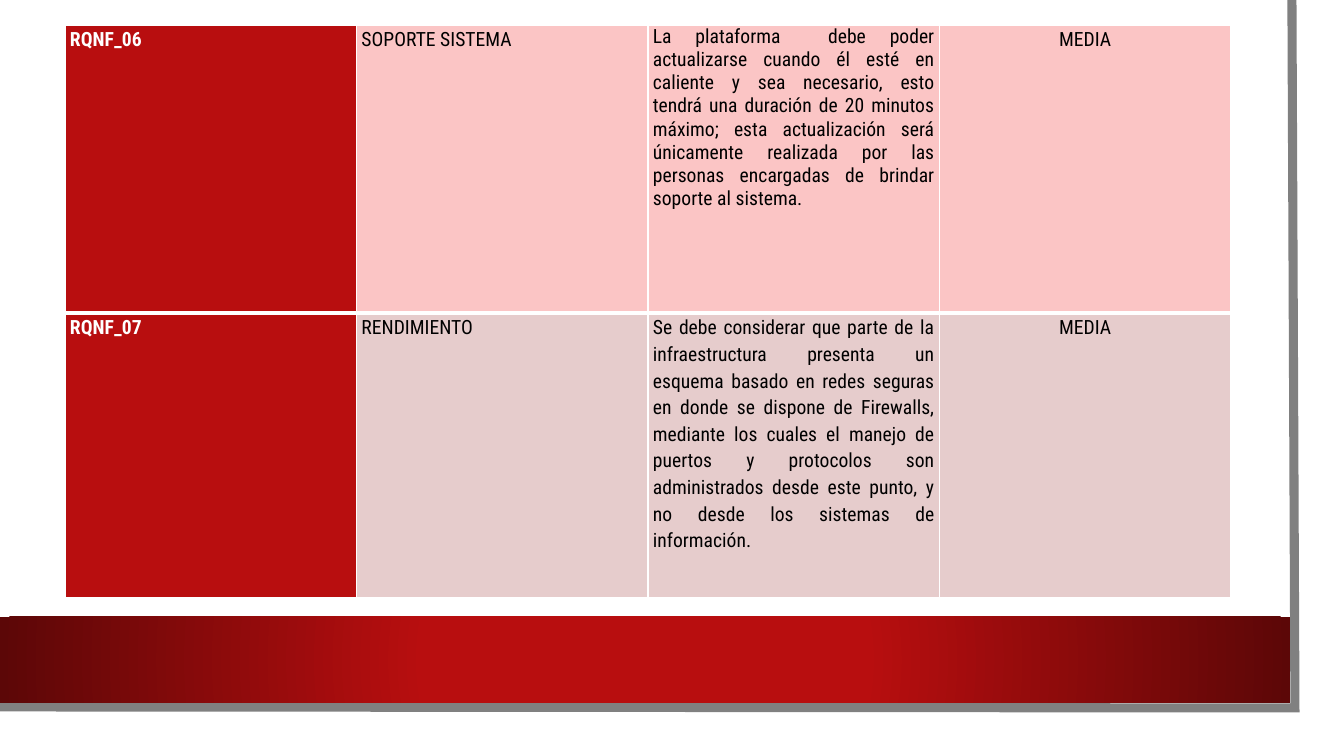
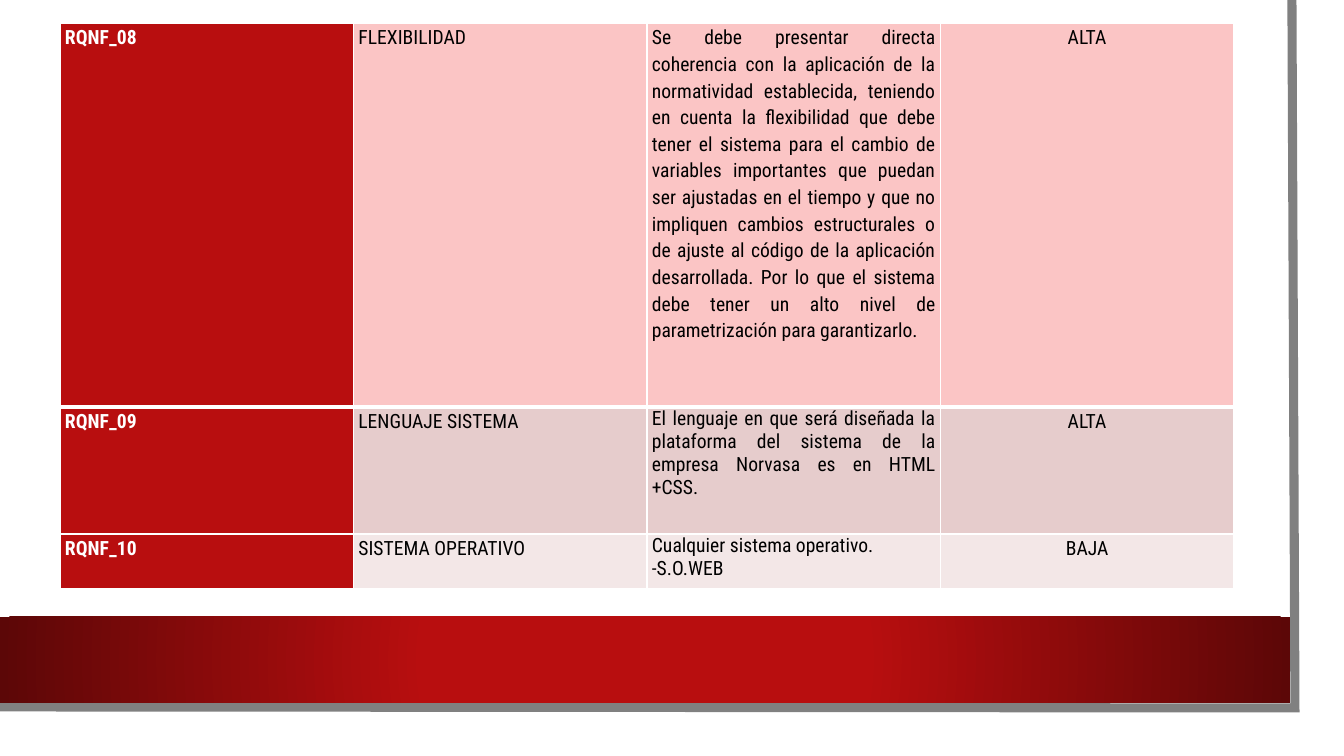
import pptx
import pptx.util
import pptx.dml.color
import pptx.enum.shapes
import pptx.enum.text
import pptx.oxml
import pptx.oxml.ns

PX = 914400 / 100.8
FONT = "Roboto Condensed"
COLORS = {
    "white": "FFFFFF", "black": "000000", "gray": "808080",
    "red": "B80E0F", "dark": "5C0707",
    "pink": "FBC5C5", "rose": "E6CCCC", "pale": "F3E7E7",
}
NS = pptx.oxml.ns.nsdecls("a")
ALIGN = pptx.enum.text.PP_ALIGN
RECT = pptx.enum.shapes.MSO_SHAPE.RECTANGLE


def px(n):
    return pptx.util.Emu(round(n * PX))


def rgb(name):
    return pptx.dml.color.RGBColor.from_string(COLORS[name])


# Each row: height, fill, description line spacing, code, name, description, priority
TABLES = [
    {"at": (65, 25), "width": 1166, "rows": [
        (288, "pink", 1, "RQNF_06", "SOPORTE SISTEMA",
         "La plataforma  debe poder actualizarse cuando él esté en caliente y sea "
         "necesario, esto tendrá una duración de 20 minutos máximo; esta actualización "
         "será únicamente realizada por las personas encargadas de brindar soporte al "
         "sistema.", "MEDIA"),
        (285, "rose", 1.15, "RQNF_07", "RENDIMIENTO",
         "Se debe considerar que parte de la infraestructura presenta un esquema basado "
         "en redes seguras en donde se dispone de Firewalls, mediante los cuales el "
         "manejo de puertos y protocolos son administrados desde este punto, y no desde "
         "los sistemas de información.", "MEDIA"),
    ]},
    {"at": (60, 23), "width": 1174, "rows": [
        (384, "pink", 1.15, "RQNF_08", "FLEXIBILIDAD",
         "Se debe presentar directa coherencia con la aplicación de la normatividad "
         "establecida, teniendo en cuenta la flexibilidad que debe tener el sistema para "
         "el cambio de variables importantes que puedan ser ajustadas en el tiempo y que "
         "no impliquen cambios estructurales o de ajuste al código de la aplicación "
         "desarrollada. Por lo que el sistema debe tener un alto nivel de "
         "parametrización para garantizarlo.", "ALTA"),
        (127, "rose", 1, "RQNF_09", "LENGUAJE SISTEMA",
         "El lenguaje en que será diseñada la plataforma del sistema de la empresa "
         "Norvasa es en HTML +CSS.", "ALTA"),
        (55, "pale", 1, "RQNF_10", "SISTEMA OPERATIVO",
         "Cualquier sistema operativo.\n-S.O.WEB", "BAJA"),
    ]},
]
ALIGNS = [ALIGN.LEFT, ALIGN.LEFT, ALIGN.JUSTIFY, ALIGN.CENTER]

prs = pptx.Presentation()
prs.slide_width, prs.slide_height = px(1344), px(756)

for spec_table in TABLES:
    s = prs.slides.add_slide(prs.slide_layouts[6])

    # White page panel
    panel = s.shapes.add_shape(RECT, 0, 0, px(1320), px(733))
    panel.shadow.inherit = False
    panel.fill.solid()
    panel.fill.fore_color.rgb = rgb("white")
    panel.line.fill.background()

    # Gray edge along the right and the bottom
    builder = s.shapes.build_freeform(1292, 0, scale=PX)
    builder.add_line_segments([(1295, 708), (-3, 707)], close=False)
    edge = builder.convert_to_shape()
    edge.shadow.inherit = False
    edge.fill.background()
    edge.line.color.rgb = rgb("gray")
    edge.line.width = pptx.util.Pt(6.5)
    edge.line._get_or_add_ln().append(
        pptx.oxml.parse_xml(f'<a:miter {NS} lim="800000"/>'))

    # Red footer band, darker towards both ends
    band = s.shapes.add_shape(RECT, 0, px(617), px(1290), px(86))
    band.shadow.inherit = False
    band.line.fill.background()
    band._element.spPr.find(pptx.oxml.ns.qn("a:prstGeom")).addnext(pptx.oxml.parse_xml(
        f'<a:gradFill {NS} rotWithShape="1"><a:gsLst>'
        f'<a:gs pos="34000"><a:srgbClr val="{COLORS["red"]}"/></a:gs>'
        f'<a:gs pos="100000"><a:srgbClr val="{COLORS["dark"]}"/></a:gs></a:gsLst>'
        '<a:path path="circle"><a:fillToRect l="50000" t="50000" r="50000" b="50000"/>'
        '</a:path></a:gradFill>'))

    # Requirements table
    rows = spec_table["rows"]
    left, top = spec_table["at"]
    width, height = spec_table["width"], sum(row[0] for row in rows)
    table = s.shapes.add_table(len(rows), 4, px(left), px(top), px(width), px(height)).table
    table.first_row = table.horz_banding = False
    for col in table.columns:
        col.width = px(width / 4)

    for i, (row_height, fill, spacing, *texts) in enumerate(rows):
        table.rows[i].height = px(row_height)
        for j, text in enumerate(texts):
            cell = table.cell(i, j)
            cell.margin_left = cell.margin_right = px(5)
            cell.margin_top = cell.margin_bottom = 0

            # White borders, thicker below the first row
            borders = {"L": 1, "R": 1, "T": 3 if i == 1 else 1, "B": 3 if i == 0 else 1}
            for side, points in borders.items():
                cell._tc.get_or_add_tcPr().append(pptx.oxml.parse_xml(
                    f'<a:ln{side} {NS} w="{pptx.util.Pt(points)}"><a:solidFill>'
                    f'<a:srgbClr val="{COLORS["white"]}"/></a:solidFill></a:ln{side}>'))
            cell.fill.solid()
            cell.fill.fore_color.rgb = rgb("red" if j == 0 else fill)

            cell.text_frame.text = text
            for p in cell.text_frame.paragraphs:
                p.alignment = ALIGNS[j]
                p.line_spacing = spacing if j == 2 else 1.15
                for r in p.runs:
                    r.font.name = FONT
                    r.font.size = pptx.util.Pt(14)
                    r.font.bold = j == 0
                    r.font.color.rgb = rgb("white" if j == 0 else "black")

prs.save("out.pptx")
